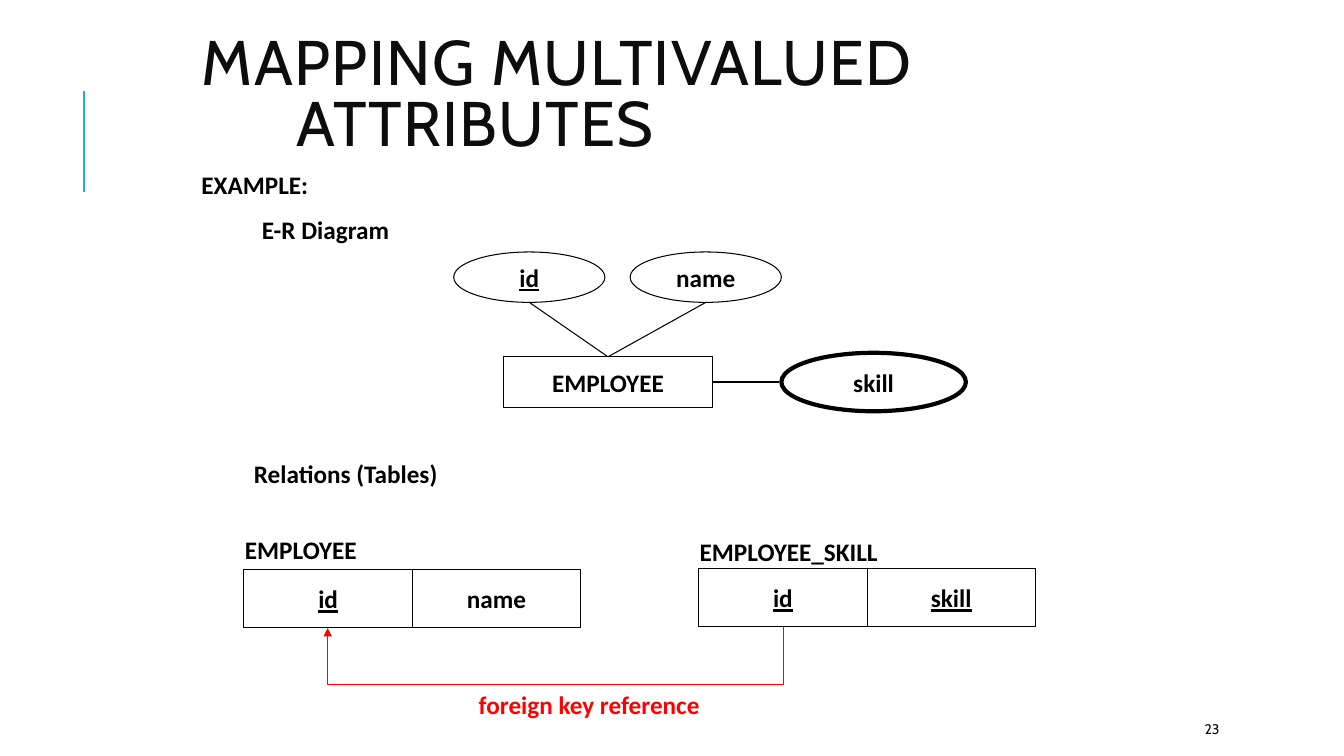
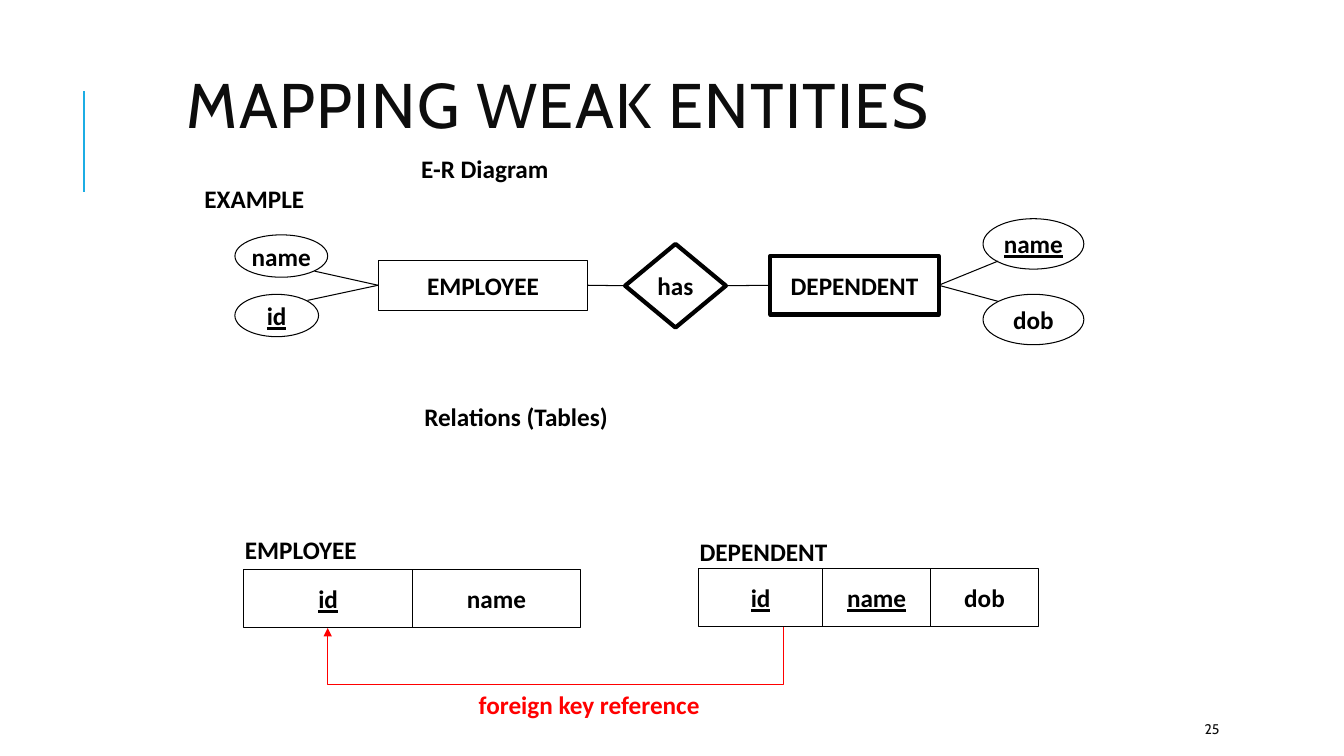
import pptx
import pptx.util
import pptx.dml.color
import pptx.enum.shapes
import pptx.enum.text
import pptx.oxml
import pptx.oxml.ns

Inches = pptx.util.Inches
Pt = pptx.util.Pt
MSO_SHAPE = pptx.enum.shapes.MSO_SHAPE
MSO_CONNECTOR = pptx.enum.shapes.MSO_CONNECTOR
PP_ALIGN = pptx.enum.text.PP_ALIGN
MSO_ANCHOR = pptx.enum.text.MSO_ANCHOR
MSO_AUTO_SIZE = pptx.enum.text.MSO_AUTO_SIZE

BLACK, RED, ACCENT, DARK = "000000", "FF0000", "1CADE4", "0D0D0D"
THIN, THICK = 0.75, 3
TOP, LEFT, BOTTOM, RIGHT = range(4)


def rgb(value):
    return pptx.dml.color.RGBColor.from_string(value)


def element(tag, **attrs):
    el = pptx.oxml.parse_xml(f"<a:{tag} {pptx.oxml.ns.nsdecls('a')}/>")
    for key, value in attrs.items():
        el.set(key, str(value))
    return el


class Deck:
    TITLE = {"name": "Cabin", "size": Pt(45), "bold": False}
    NUMBER = {"name": "Cabin", "size": Pt(10), "bold": False}
    BODY = {"name": "Calibri", "size": Pt(18), "bold": True}

    def __init__(self):
        self.prs = pptx.Presentation()
        self.prs.slide_width = Inches(13.33)
        self.prs.slide_height = Inches(7.5)
        self.s = None

    def set_text(self, sp, text, style, color=BLACK, align=PP_ALIGN.LEFT,
                 anchor=MSO_ANCHOR.TOP, wrap=True, underline=False):
        tf = sp.text_frame
        frame = {"word_wrap": wrap, "vertical_anchor": anchor,
                 "auto_size": MSO_AUTO_SIZE.NONE}
        for key, value in frame.items():
            setattr(tf, key, value)
        p = tf.paragraphs[0]
        p.alignment = align
        r = p.add_run()
        r.text = text
        for key, value in {**style, "underline": underline}.items():
            setattr(r.font, key, value)
        r.font.color.rgb = rgb(color)
        return p

    def slide(self, title, number, x, y, w, h, hanging=0):
        self.s = self.prs.slides.add_slide(self.prs.slide_layouts[5])
        sp = self.s.shapes.title
        box = {"left": x, "top": y, "width": w, "height": h}
        for key, value in box.items():
            setattr(sp, key, Inches(value))
        p = self.set_text(sp, title, self.TITLE, DARK, anchor=MSO_ANCHOR.MIDDLE)
        p.line_spacing = 0.8
        p.runs[0]._r.get_or_add_rPr().set("spc", "100")
        if hanging:
            pPr = p._p.get_or_add_pPr()
            pPr.set("marL", str(Inches(hanging)))
            pPr.set("indent", str(-Inches(hanging)))
        self.line(0.83, 1.9, 0.83, 0.9, color=ACCENT, width=1.5)
        self.text(str(number), 11.85, 7.08, 1.06, 0.3, self.NUMBER, DARK,
                  MSO_ANCHOR.MIDDLE)

    def text(self, text, x, y, w, h=0.4, style=BODY, color=BLACK,
             anchor=MSO_ANCHOR.TOP):
        sp = self.s.shapes.add_textbox(Inches(x), Inches(y), Inches(w), Inches(h))
        self.set_text(sp, text, style, color, anchor=anchor)

    def shape(self, kind, text, x, y, w, h, width=THIN, key=False):
        sp = self.s.shapes.add_shape(kind, Inches(x), Inches(y), Inches(w), Inches(h))
        sp.shadow.inherit = False
        sp.fill.background()
        sp.line.color.rgb = rgb(BLACK)
        sp.line.width = Pt(width)
        self.set_text(sp, text, self.BODY, align=PP_ALIGN.CENTER,
                      anchor=MSO_ANCHOR.MIDDLE, wrap=False, underline=key)
        return sp

    def entity(self, text, x, y, w, h, **options):
        return self.shape(MSO_SHAPE.RECTANGLE, text, x, y, w, h, **options)

    def attribute(self, text, x, y, w, h, **options):
        return self.shape(MSO_SHAPE.OVAL, text, x, y, w, h, **options)

    def line(self, x1, y1, x2, y2, color=BLACK, width=THIN,
             kind=MSO_CONNECTOR.STRAIGHT, begin=None, end=None):
        c = self.s.shapes.add_connector(
            kind, Inches(x1), Inches(y1), Inches(x2), Inches(y2))
        c.line.color.rgb = rgb(color)
        c.line.width = Pt(width)
        c._element.spPr.append(element("effectLst"))
        if begin:
            c.begin_connect(*begin)
        if end:
            c.end_connect(*end)
        return c

    def relation(self, name, x, y, label_y, cells):
        self.text(name, x - 0.09, label_y, 2.52)
        for text, w, key in cells:
            self.entity(text, x, y, w, 0.58, key=key)
            x += w

    def foreign_key(self, x1, y1, x2, y2, drop):
        rise, span = y2 - y1, x1 - x2
        x, y = (x1 + x2 - rise) / 2, (y1 + y2 - span) / 2
        c = self.line(x, y, x + rise, y + span, RED, kind=MSO_CONNECTOR.ELBOW)
        spPr = c._element.spPr
        spPr.find(pptx.oxml.ns.qn("a:xfrm")).set("rot", "5400000")
        geom = spPr.find(pptx.oxml.ns.qn("a:prstGeom"))
        for guides in list(geom):
            geom.remove(guides)
        guides = element("avLst")
        guides.append(element("gd", name="adj1",
                              fmla=f"val {round(drop / rise * 100000)}"))
        geom.append(guides)
        ln = spPr.find(pptx.oxml.ns.qn("a:ln"))
        ln.append(element("tailEnd", type="triangle"))
        self.text("foreign key reference", 4.65, 6.79, 2.47, color=RED)

    def relations(self, name, cells):
        self.relation("EMPLOYEE", 2.42, 5.65, 5.25,
                      [("id", 1.67, True), ("name", 1.67, False)])
        self.relation(name, 6.93, 5.64, 5.27, cells)
        self.foreign_key(7.77, 6.22, 3.25, 6.23, 0.58)


def multivalued(deck):
    deck.slide("MAPPING MULTIVALUED ATTRIBUTES", 23, 1.9, 0.61, 9.77, 0.72,
               hanging=0.94)
    deck.text("EXAMPLE:", 1.9, 1.63, 1.53)
    deck.text("E-R Diagram", 2.5, 2.08, 1.66)
    employee = deck.entity("EMPLOYEE", 4.99, 3.54, 2.08, 0.5)
    for text, x, key in (("id", 4.5, True), ("name", 6.25, False)):
        deck.attribute(text, x, 2.5, 1.5, 0.5, key=key)
        deck.line(6.04, 3.54, x + 0.75, 3, begin=(employee, TOP))
    deck.attribute("skill", 7.75, 3.5, 1.83, 0.58, width=THICK)
    deck.line(7.08, 3.79, 7.73, 3.79, begin=(employee, RIGHT))
    deck.text("Relations (Tables)", 2.42, 4.5, 2.14)
    deck.relations("EMPLOYEE_SKILL", [("id", 1.67, True), ("skill", 1.67, True)])


def weak_entities(deck):
    deck.slide("MAPPING WEAK ENTITIES", 25, 1.75, 0.8, 8.5, 0.58)
    deck.text("EXAMPLE", 1.93, 1.77, 1.47)
    deck.text("E-R Diagram", 4.08, 1.47, 1.66)
    employee = deck.entity("EMPLOYEE", 3.75, 2.58, 2.08, 0.5)
    has = deck.shape(MSO_SHAPE.DIAMOND, "has", 6.2, 2.42, 1, 0.83, width=THICK)
    dependent = deck.entity("DEPENDENT", 7.64, 2.54, 1.67, 0.58, width=THICK)
    deck.line(5.83, 2.83, 6.18, 2.83, begin=(employee, RIGHT), end=(has, LEFT))
    deck.line(7.22, 2.83, 7.62, 2.83, begin=(has, RIGHT), end=(dependent, LEFT))
    attributes = (
        ("name", 2.33, 2.33, 0.92, 0.42, False, employee, LEFT, 3.12, 2.69),
        ("id", 2.33, 2.92, 0.83, 0.42, True, employee, LEFT, 3.05, 2.98),
        ("name", 9.75, 2.17, 1, 0.5, True, dependent, RIGHT, 9.9, 2.59),
        ("dob", 9.75, 2.92, 1, 0.5, False, dependent, RIGHT, 9.9, 2.99),
    )
    for text, x, y, w, h, key, owner, side, x1, y1 in attributes:
        deck.attribute(text, x, y, w, h, key=key)
        deck.line(x1, y1, x1, y1, end=(owner, side))
    deck.text("Relations (Tables)", 4.11, 3.93, 2.14)
    deck.relations("DEPENDENT", [("id", 1.23, True), ("name", 1.07, True),
                                 ("dob", 1.07, False)])


def main():
    deck = Deck()
    multivalued(deck)
    weak_entities(deck)
    deck.prs.save("out.pptx")


if __name__ == "__main__":
    main()
